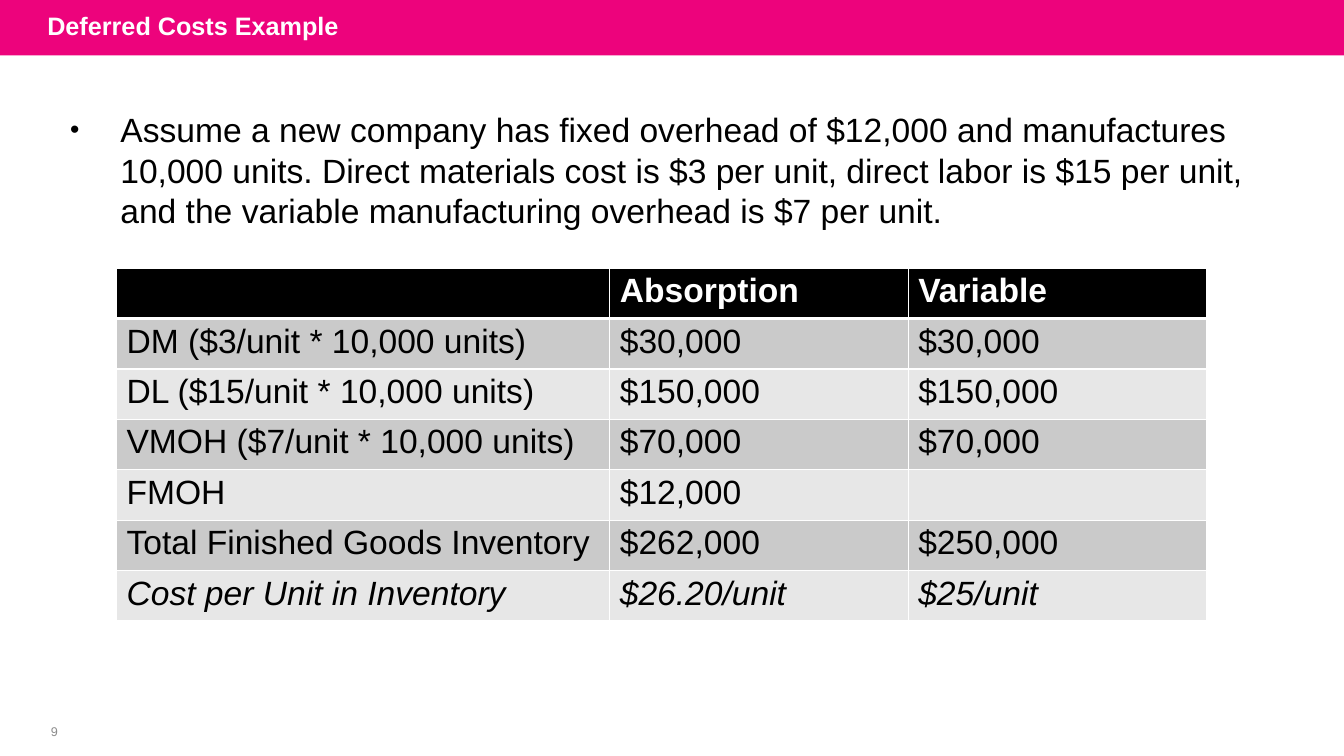
from lxml.etree import SubElement
from pptx import Presentation
from pptx.dml.color import RGBColor
from pptx.enum.shapes import MSO_SHAPE
from pptx.enum.text import MSO_ANCHOR, PP_ALIGN
from pptx.oxml.ns import qn
from pptx.util import Pt

COLORS = {
    "banner": "ED037C",
    "white": "FFFFFF",
    "black": "000000",
    "dark_band": "CACACA",
    "light_band": "E7E7E7",
    "page_number": "8C8C8C",
}
COST_ROWS = [
    ("", "Absorption", "Variable"),
    ("DM ($3/unit * 10,000 units)", "$30,000", "$30,000"),
    ("DL ($15/unit * 10,000 units)", "$150,000", "$150,000"),
    ("VMOH ($7/unit * 10,000 units)", "$70,000", "$70,000"),
    ("FMOH", "$12,000", ""),
    ("Total Finished Goods Inventory", "$262,000", "$250,000"),
    ("Cost per Unit in Inventory", "$26.20/unit", "$25/unit"),
]
COLUMN_WIDTHS = (352.4, 213.2, 213.2)
ROW_HEIGHT = 36
ASSUMPTION = (
    "Assume a new company has fixed overhead of $12,000 and manufactures "
    "10,000 units. Direct materials cost is $3 per unit, direct labor is $15 per unit, "
    "and the variable manufacturing overhead is $7 per unit."
)


def color(name):
    return RGBColor.from_string(COLORS[name])


def set_all(target, values):
    for name, value in values.items():
        setattr(target, name, value)


def write(para, text, size, color_name, **formats):
    span = para.add_run()
    span.text = text
    set_all(span.font, {"name": "Arial", "size": Pt(size), **formats})
    span.font.color.rgb = color(color_name)


def add_banner(page, width, height):
    banner = page.shapes.add_shape(MSO_SHAPE.RECTANGLE, 0, 0, Pt(width), Pt(height))
    banner.shadow.inherit = False
    banner.fill.solid()
    banner.fill.fore_color.rgb = color("banner")
    banner.line.fill.background()


def add_text_box(page, left, top, width, height, **frame_formats):
    box = page.shapes.add_textbox(Pt(left), Pt(top), Pt(width), Pt(height))
    margins = dict.fromkeys(("margin_left", "margin_top", "margin_right", "margin_bottom"), 0)
    set_all(box.text_frame, {"word_wrap": True, **margins, **frame_formats})
    return box.text_frame.paragraphs[0]


def set_indent(para, left, first=0):
    properties = para._p.get_or_add_pPr()
    properties.set("marL", str(Pt(left)))
    properties.set("indent", str(Pt(first)))
    return properties


def add_bullet(para, left, first, percent):
    properties = set_indent(para, left, first)
    SubElement(properties, qn("a:buSzPct"), val=str(percent * 1000))
    SubElement(properties, qn("a:buFont"), typeface="Arial")
    SubElement(properties, qn("a:buChar"), char="•")


def add_borders(cell, widths):
    properties = cell._tc.get_or_add_tcPr()
    for side, width in widths.items():
        line = SubElement(properties, qn(f"a:ln{side}"), w=str(Pt(width)))
        fill = SubElement(line, qn("a:solidFill"))
        SubElement(fill, qn("a:srgbClr"), val=COLORS["white"])


def band_color(row):
    if row == 0:
        return "black"
    return "dark_band" if row % 2 else "light_band"


def fill_cell(cell, text, row):
    add_borders(cell, {"L": 1, "R": 1, "T": 3 if row == 1 else 1, "B": 3 if row == 0 else 1})
    cell.fill.solid()
    cell.fill.fore_color.rgb = color(band_color(row))
    set_all(cell, {"margin_left": 0, "margin_top": Pt(3), "margin_right": 0, "margin_bottom": 0})
    if text:
        para = cell.text_frame.paragraphs[0]
        para.space_before = Pt(3)
        set_indent(para, 7.2)
        write(para, text, 24, "white" if row == 0 else "black",
              bold=row == 0, italic=row == len(COST_ROWS) - 1)


def add_cost_table(page, left, top):
    table = page.shapes.add_table(
        len(COST_ROWS), len(COLUMN_WIDTHS), Pt(left), Pt(top),
        Pt(sum(COLUMN_WIDTHS)), Pt(ROW_HEIGHT * len(COST_ROWS)),
    ).table
    for column, width in zip(table.columns, COLUMN_WIDTHS):
        column.width = Pt(width)
    for row, texts in enumerate(COST_ROWS):
        table.rows[row].height = Pt(ROW_HEIGHT)
        for column, text in enumerate(texts):
            fill_cell(table.cell(row, column), text, row)


def main():
    deck = Presentation()
    set_all(deck, {"slide_width": Pt(960), "slide_height": Pt(540)})
    page = deck.slides.add_slide(deck.slide_layouts[6])

    add_banner(page, 960, 39.6)

    number = add_text_box(page, 18.7, 514, 37.4, 17.3, vertical_anchor=MSO_ANCHOR.MIDDLE)
    number.alignment = PP_ALIGN.CENTER
    set_indent(number, 3)
    write(number, "9", 9, "page_number")

    title = add_text_box(page, 33.8, -2, 749, 39.6, vertical_anchor=MSO_ANCHOR.MIDDLE)
    write(title, "Deferred Costs Example", 18, "white", bold=True)

    assumption = add_text_box(page, 49, 77, 841, 88.6, margin_top=Pt(1))
    assumption.space_before = Pt(1)
    add_bullet(assumption, 37, -36, 79)
    write(assumption, ASSUMPTION, 24, "black")

    add_cost_table(page, 83.2, 191.6)
    deck.save("out.pptx")


if __name__ == "__main__":
    main()
